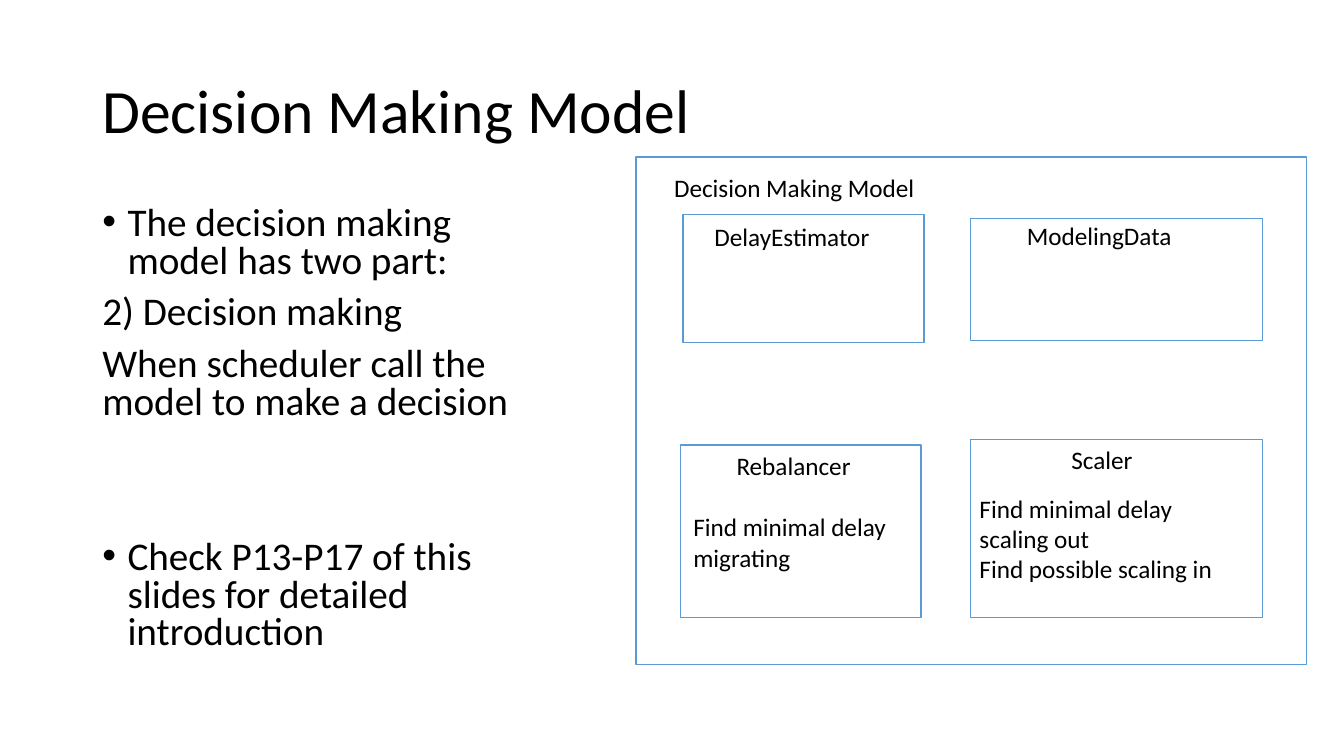
from typing import NamedTuple

import pptx
import pptx.dml.color
import pptx.enum.shapes
import pptx.enum.text
import pptx.oxml
import pptx.oxml.ns
import pptx.util

Pt = pptx.util.Pt
COLORS = {"paper": "FFFFFF", "outline": "5B9BD5", "ink": "000000"}
FONT = "Calibri"
BULLET_INDENT = 18


class Area(NamedTuple):
    left: float
    top: float
    width: float
    height: float

    def lengths(self) -> list:
        return [Pt(value) for value in self]


class Line(NamedTuple):
    text: str
    bullet: bool = False
    space_before: float = 0


class Caption(NamedTuple):
    area: Area
    lines: list[Line]


def rgb(name: str) -> pptx.dml.color.RGBColor:
    return pptx.dml.color.RGBColor.from_string(COLORS[name])


def add_bullet(paragraph) -> None:
    properties = paragraph._p.get_or_add_pPr()
    properties.set("marL", str(Pt(BULLET_INDENT)))
    properties.set("indent", str(-Pt(BULLET_INDENT)))
    namespaces = pptx.oxml.ns.nsdecls("a")
    for tag in ('buFont typeface="Arial"', 'buChar char="•"'):
        properties.append(pptx.oxml.parse_xml(f"<a:{tag} {namespaces}/>".replace("\n", " ")))


def draw_box(slide, area: Area) -> None:
    box = slide.shapes.add_shape(
        pptx.enum.shapes.MSO_SHAPE.RECTANGLE, *area.lengths())
    box.shadow.inherit = False
    box.fill.solid()
    box.fill.fore_color.rgb = rgb("paper")
    box.line.color.rgb = rgb("outline")
    box.line.width = Pt(1)


def draw_text(slide, caption: Caption, size: float = 18, spacing: float = 1,
              middle: bool = False) -> None:
    frame = slide.shapes.add_textbox(*caption.area.lengths()).text_frame
    frame.word_wrap = True
    anchors = pptx.enum.text.MSO_ANCHOR
    frame.vertical_anchor = anchors.MIDDLE if middle else anchors.TOP
    for index, line in enumerate(caption.lines):
        paragraph = frame.add_paragraph() if index else frame.paragraphs[0]
        paragraph.text = line.text
        if line.bullet:
            add_bullet(paragraph)
        paragraph.line_spacing = spacing
        paragraph.space_before = Pt(line.space_before)
        paragraph.font.name = FONT
        paragraph.font.size = Pt(size)
        paragraph.font.color.rgb = rgb("ink")


TITLE = Caption(Area(66, 29, 828, 104), [Line("Decision Making Model")])
BODY = Caption(Area(66, 144, 320.5, 343), [
    Line("The decision making model has two part:", bullet=True),
    Line("2) Decision making", space_before=10),
    Line("When scheduler call the model to make a decision", space_before=10),
    Line("Check P13-P17 of this slides for detailed introduction",
         bullet=True, space_before=84),
])
BOXES = [
    Area(454.3, 112.3, 478.8, 362.2),  # whole model
    Area(488, 153.4, 172, 91.4),       # DelayEstimator
    Area(693.4, 156.2, 208.4, 87),     # ModelingData
    Area(486, 318, 172, 123),          # Rebalancer
    Area(693.4, 314, 208.4, 127),      # Scaler
]
CAPTIONS = [
    Caption(Area(474.4, 119.5, 200, 29), [Line("Decision Making Model")]),
    Caption(Area(503.2, 154.4, 137, 29), [Line("DelayEstimator")]),
    Caption(Area(726.4, 153.6, 158.4, 29), [Line("ModelingData")]),
    Caption(Area(519, 318.2, 106, 29), [Line("Rebalancer")]),
    Caption(Area(758.2, 314, 75, 29), [Line("Scaler")]),
    Caption(Area(488.2, 362, 165.6, 51), [Line("Find minimal delay migrating")]),
    Caption(Area(692.6, 348.6, 204.5, 73), [
        Line("Find minimal delay scaling out"),
        Line("Find possible scaling in"),
    ]),
]


def main() -> None:
    deck = pptx.Presentation()
    deck.slide_width, deck.slide_height = Pt(960), Pt(540)
    slide = deck.slides.add_slide(deck.slide_layouts[6])

    # Title and explanation
    draw_text(slide, TITLE, size=44, spacing=0.9, middle=True)
    draw_text(slide, BODY, size=28, spacing=0.8)

    # Model diagram
    for area in BOXES:
        draw_box(slide, area)
    for caption in CAPTIONS:
        draw_text(slide, caption)

    deck.save("out.pptx")


if __name__ == "__main__":
    main()
